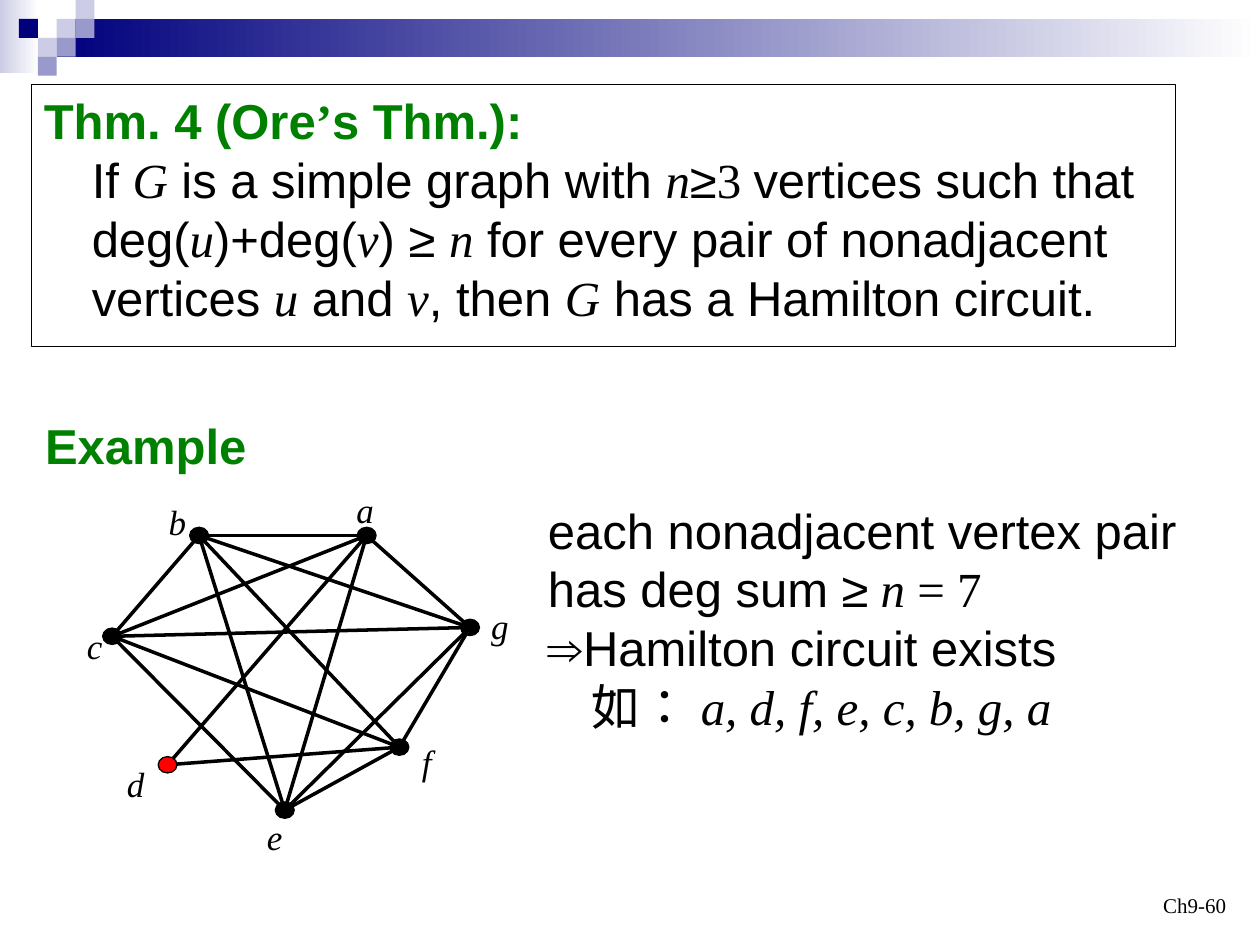
from pptx import Presentation
from pptx.dml.color import RGBColor
from pptx.enum.lang import MSO_LANGUAGE_ID
from pptx.enum.shapes import MSO_CONNECTOR, MSO_SHAPE
from pptx.enum.text import MSO_ANCHOR, PP_ALIGN
from pptx.oxml.ns import qn
from pptx.util import Inches, Pt

RECTANGLE = MSO_SHAPE.RECTANGLE
DOT = MSO_SHAPE.FLOWCHART_CONNECTOR
STRAIGHT = MSO_CONNECTOR.STRAIGHT
TOP, BOTTOM = MSO_ANCHOR.TOP, MSO_ANCHOR.BOTTOM
LEFT, RIGHT = PP_ALIGN.LEFT, PP_ALIGN.RIGHT
CHINESE = MSO_LANGUAGE_ID.TRADITIONAL_CHINESE

SANS, SERIF = "Arial", "Times New Roman"
BLACK, GREEN, RED = "000000", "008000", "FF0000"
NAVY, LAVENDER, PERIWINKLE, WHITE = "00007D", "CCCCE6", "9999CC", "FFFFFF"


def add_block(kind, left, top, width, height, fill=None, line=None):
    """Add a preset shape; two fill colours make a left-to-right gradient."""
    block = slide.shapes.add_shape(
        kind, Inches(left), Inches(top), Inches(width), Inches(height))
    block.shadow.inherit = False
    if isinstance(fill, tuple):
        block.fill.gradient()
        block.fill.gradient_angle = 0
        for stop, colour, position in zip(block.fill.gradient_stops, fill, (0, 1)):
            stop.color.rgb = RGBColor.from_string(colour)
            stop.position = position
    elif fill:
        block.fill.solid()
        block.fill.fore_color.rgb = RGBColor.from_string(fill)
    else:
        block.fill.background()
    if line:
        block.line.color.rgb = RGBColor.from_string(line)
        block.line.width = Pt(0.75)
    else:
        block.line.fill.background()
    return block


def write(holder, paragraphs, size, colour=BLACK, bold=False, wrap=True):
    """Fill with paragraphs of runs; "i" is serif italic, "s" serif, "" sans."""
    frame = holder.text_frame
    frame.word_wrap = wrap
    frame.vertical_anchor = TOP
    for index, pieces in enumerate(paragraphs):
        paragraph = frame.add_paragraph() if index else frame.paragraphs[0]
        paragraph.alignment = LEFT
        for text, style in pieces:
            if text == "\n":
                paragraph.add_line_break()
                continue
            run = paragraph.add_run()
            run.text = text
            run.font.size = Pt(size)
            run.font.name = SERIF if style else SANS
            run.font.italic = style == "i"
            run.font.bold = bold
            run.font.color.rgb = RGBColor.from_string(colour)
    return frame


prs = Presentation()
prs.slide_width, prs.slide_height = Inches(10), Inches(7.5)
slide = prs.slides.add_slide(prs.slide_layouts[6])

# Banner with its pattern of small squares
add_block(RECTANGLE, 0, 0, 0.31, 0.58, (LAVENDER, WHITE))
add_block(RECTANGLE, 0.45, 0.15, 9.55, 0.3, (NAVY, WHITE))
SQUARE = 0.15
for column, row, colour in [
        (3, 1, LAVENDER), (4, 0, LAVENDER), (4, 1, PERIWINKLE), (2, 2, LAVENDER),
        (1, 1, NAVY), (3, 2, PERIWINKLE), (2, 3, PERIWINKLE)]:
    add_block(RECTANGLE, column * SQUARE, row * SQUARE, SQUARE, SQUARE, colour)

# Theorem
theorem = add_block(RECTANGLE, 0.25, 0.67, 9.08, 2.08, line=BLACK)
statement = write(theorem, [[
    ("Thm. 4 (Ore", ""), ("’", "s"), ("s Thm.):", ""), ("\n", ""),
    ("If ", ""), ("G", "i"), (" is a simple graph with ", ""), ("n", "i"),
    ("≥", ""), ("3 ", "s"), ("vertices such that deg(", ""), ("u", "i"),
    (")+deg(", ""), ("v", "i"), (") ≥ ", ""), ("n", "i"),
    (" for every pair of nonadjacent vertices ", ""), ("u", "i"), (" and ", ""),
    ("v", "i"), (", then ", ""), ("G", "i"), (" has a Hamilton circuit.", "")]], 28)
heading_runs = statement.paragraphs[0].runs[:3]
for run in heading_runs:
    run.font.bold = True
    run.font.color.rgb = RGBColor.from_string(GREEN)
hanging = statement.paragraphs[0]._p.get_or_add_pPr()
hanging.set("marL", str(Inches(0.38)))
hanging.set("indent", str(-Inches(0.38)))

# Example heading and reasoning
example = slide.shapes.add_textbox(Inches(0.26), Inches(3.25), Inches(2), Inches(0.57))
write(example, [[("Example", "")]], 28, GREEN, bold=True)

reasoning = slide.shapes.add_textbox(Inches(4.25), Inches(3.92), Inches(5.5), Inches(1.97))
argument = write(reasoning, [
    [("each nonadjacent vertex pair", ""), ("\n", ""), ("has deg sum ≥", ""),
     (" n ", "i"), ("= 7", "s")],
    [("⇒Hamilton circuit exists", "")],
    [("如： ", ""), ("a, d, f, e, c, b, g, a", "i")]], 28)
circuit = argument.paragraphs[2]
circuit.runs[0].font.language_id = CHINESE
circuit_indent = circuit._p.get_or_add_pPr()
circuit_indent.set("marL", str(Inches(0.35)))
circuit_indent.set("indent", "0")

# Graph: vertex centre, then top left corner and width of its label
vertices = {
    "a": (2.91, 4.25, 2.73, 3.83, 0.34),
    "b": (1.58, 4.25, 1.24, 3.92, 0.34),
    "c": (0.89, 5.05, 0.59, 4.91, 0.32),
    "d": (1.33, 6.07, 0.91, 6, 0.34),
    "e": (2.26, 6.43, 2.02, 6.42, 0.32),
    "f": (3.17, 5.93, 3.25, 5.83, 0.27),
    "g": (3.73, 4.98, 3.8, 4.75, 0.34),
}
for start, end in "ab ac ad ae ag bc be bf bg ce cf cg df ef eg fg".split():
    edge = slide.shapes.add_connector(
        STRAIGHT, *(Inches(value) for value in vertices[start][:2] + vertices[end][:2]))
    edge.line.color.rgb = RGBColor.from_string(BLACK)
    edge.line.width = Pt(2)
    properties = edge._element.spPr
    properties.append(properties.makeelement(qn("a:effectLst"), {}))

DOT_WIDTH, DOT_HEIGHT = 0.15, 0.13
for name, (x, y, label_left, label_top, label_width) in vertices.items():
    add_block(DOT, x - DOT_WIDTH / 2, y - DOT_HEIGHT / 2, DOT_WIDTH, DOT_HEIGHT,
              RED if name == "d" else BLACK, BLACK)
    label = slide.shapes.add_textbox(
        Inches(label_left), Inches(label_top), Inches(label_width), Inches(0.44))
    write(label, [[(name, "i")]], 20, wrap=False)

# Page number
page = slide.shapes.add_textbox(Inches(7.5), Inches(6.83), Inches(2.33), Inches(0.5))
page_frame = write(page, [[("Ch9-60", "s")]], 12)
page_frame.vertical_anchor = BOTTOM
page_frame.paragraphs[0].alignment = RIGHT

prs.save("out.pptx")
